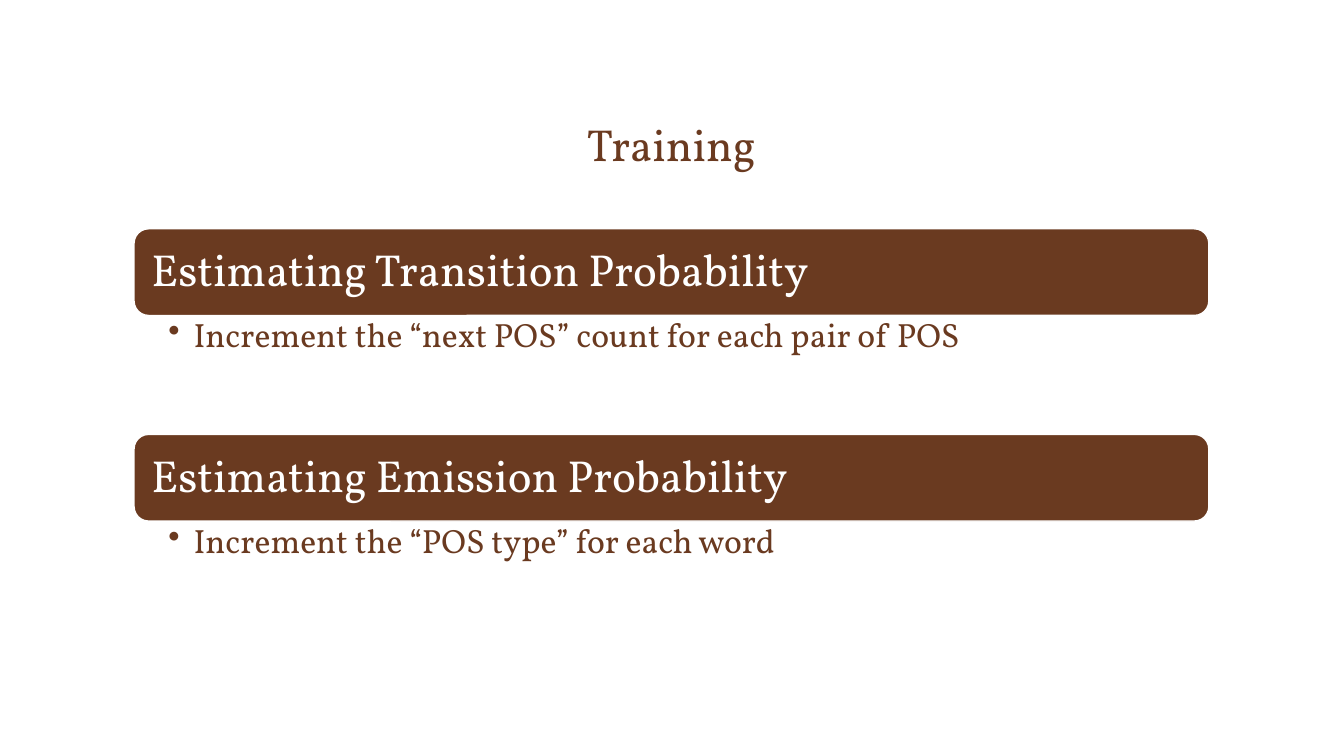
from pptx import Presentation
from pptx.dml.color import RGBColor
from pptx.enum import shapes, text
from pptx.oxml import xmlchemy
from pptx.util import Inches, Pt
from lxml import etree
from dataclasses import dataclass

TITLE = "Training"
SECTIONS = [
    ("Estimating Transition Probability",
     "Increment the “next POS” count for each pair of POS"),
    ("Estimating Emission Probability",
     "Increment the “POS type” for each word"),
]


@dataclass(frozen=True)
class Theme:
    font: str = "Vollkorn"
    brown: RGBColor = RGBColor(0x6A, 0x3A, 0x20)
    white: RGBColor = RGBColor(0xFF, 0xFF, 0xFF)
    heading: int = 32
    body: int = 24


THEME = Theme()
LEFT, WIDTH = 1.33, 10.66
TOP, BAR_H, DETAIL_H = 2.27, 0.86, 1.18
STEP = BAR_H + DETAIL_H


def write(sp, words, size=THEME.heading, color=THEME.brown, align=text.PP_ALIGN.LEFT,
          anchor=text.MSO_ANCHOR.MIDDLE, insets=(0.1, 0.05, 0.1, 0.05),
          spacing=0.9, bullet=None):
    tf = sp.text_frame
    tf.word_wrap = True
    tf.auto_size = text.MSO_AUTO_SIZE.NONE
    tf.vertical_anchor = anchor
    tf.margin_left, tf.margin_top, tf.margin_right, tf.margin_bottom = map(Inches, insets)
    p = tf.paragraphs[0]
    p.alignment, p.line_spacing = align, spacing
    r = p.add_run()
    r.text = words
    r.font.name, r.font.size, r.font.color.rgb = THEME.font, Pt(size), color
    if bullet:
        p.level = 1
        pPr = p._p.get_or_add_pPr()
        pPr.set("marL", str(Inches(0.25)))
        pPr.set("indent", str(-Inches(0.25)))
        etree.SubElement(pPr, xmlchemy.qn("a:buChar")).set("char", bullet)


def main():
    prs = Presentation()
    prs.slide_width, prs.slide_height = Inches(13.33), Inches(7.5)
    s = prs.slides.add_slide(prs.slide_layouts[5])

    title = s.shapes.title
    title.left, title.top = Inches(LEFT), Inches(0.47)
    title.width, title.height = Inches(WIDTH), Inches(1.28)
    write(title, TITLE, align=text.PP_ALIGN.CENTER, anchor=text.MSO_ANCHOR.BOTTOM)

    for i, (heading, detail) in enumerate(SECTIONS):
        top = TOP + i * STEP
        bar = s.shapes.add_shape(shapes.MSO_SHAPE.ROUNDED_RECTANGLE, Inches(LEFT),
                                 Inches(top), Inches(WIDTH), Inches(BAR_H))
        bar.shadow.inherit = False
        bar.fill.solid()
        bar.fill.fore_color.rgb = THEME.brown
        bar.line.color.rgb = THEME.white
        bar.line.width = Pt(1)
        write(bar, heading, color=THEME.white, insets=(0.13,) * 4)

        box = s.shapes.add_textbox(Inches(LEFT), Inches(top + BAR_H),
                                   Inches(WIDTH), Inches(DETAIL_H))
        write(box, detail, size=THEME.body, anchor=text.MSO_ANCHOR.TOP,
              insets=(0.34, 0.03, 0.19, 0.03), bullet="•")

    prs.save("out.pptx")


if __name__ == "__main__":
    main()
